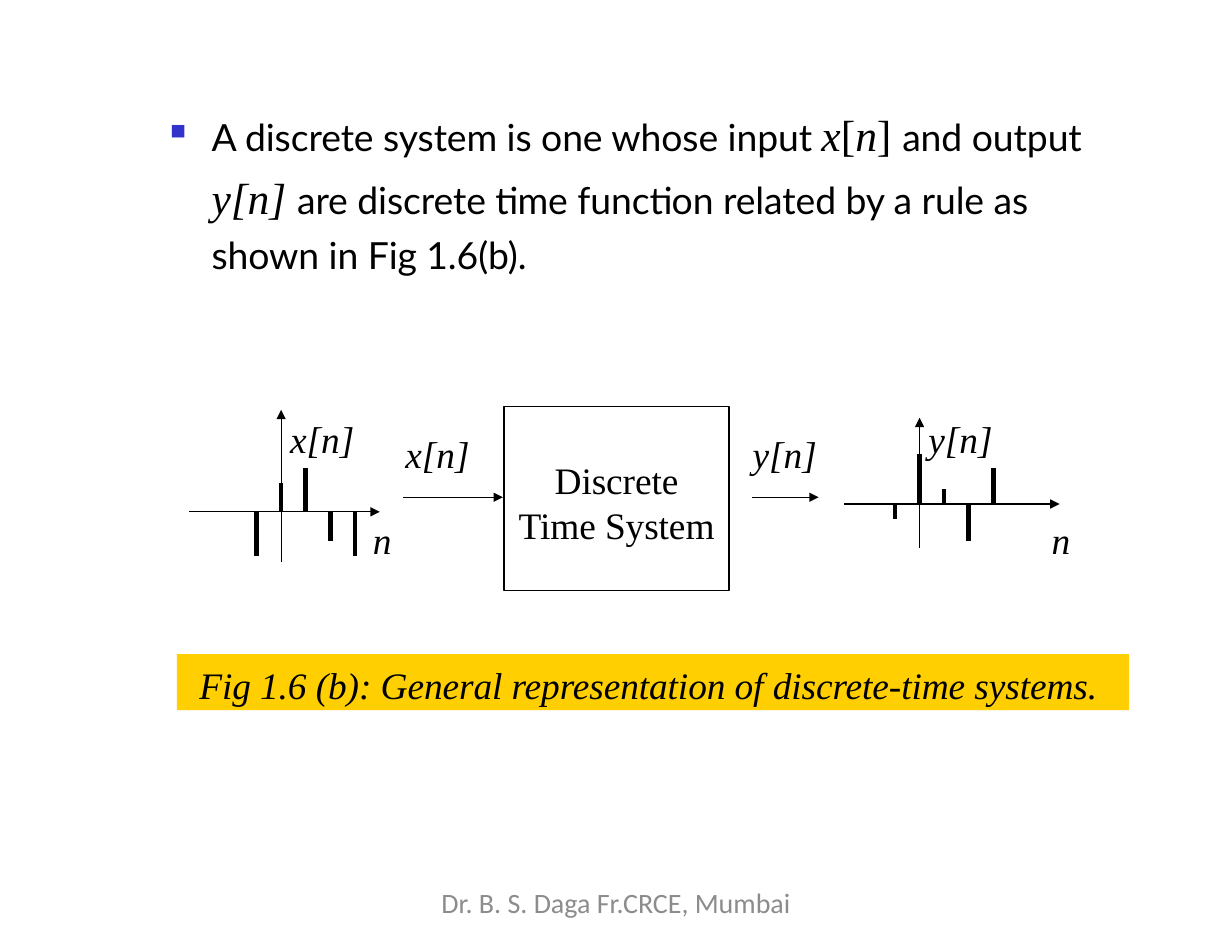
from lxml.etree import SubElement
from pptx import Presentation
from pptx.dml.color import RGBColor
from pptx.enum.shapes import MSO_CONNECTOR as CONNECTOR, MSO_SHAPE as SHAPE
from pptx.enum.text import MSO_ANCHOR as ANCHOR, PP_ALIGN as ALIGN
from pptx.oxml.ns import qn
from pptx.util import Inches, Pt

BLACK = RGBColor(0, 0, 0)
GOLD = RGBColor(0xFF, 0xCF, 0x01)
GRAY = RGBColor(0x8C, 0x8C, 0x8C)
BULLET_BLUE = "3333CC"

BODY = {"name": "Lato", "size": Pt(24), "italic": False}
UPRIGHT = {"name": "Times New Roman", "size": Pt(28), "italic": False}
SYMBOL = {**UPRIGHT, "italic": True}
SYSTEM = {**UPRIGHT, "size": Pt(24)}
LABEL = {**SYMBOL, "size": Pt(24)}
FOOTER = {"name": "Calibri", "size": Pt(18)}

DEFINITION = [
    ("A discrete system is one whose input ", BODY),
    ("x", SYMBOL), ("[", UPRIGHT), ("n", SYMBOL), ("] ", UPRIGHT),
    ("and output ", BODY), ("y[n] ", SYMBOL),
    ("are discrete time function related by a rule as shown in Fig 1.6(b).", BODY),
]
SYSTEM_LINES = ["Discrete", "Time System"]
CAPTION = "Fig 1.6 (b): General representation of discrete-time systems."
CREDIT = "Dr. B. S. Daga Fr.CRCE, Mumbai"

SAMPLE_GAP = 0.22
SIGNALS = [
    {"origin": (2.51, 4.57), "across": (1.69, 3.39), "upright": (5.02, 3.66),
     "samples": {-1: -0.39, 0: 0.26, 1: 0.39, 2: -0.26, 3: -0.39}},
    {"origin": (8.21, 4.5), "across": (7.54, 9.46), "upright": (4.89, 3.73),
     "samples": {-1: -0.13, 0: 0.45, 1: 0.13, 2: -0.33, 3: 0.32}},
]
FLOW_Y = 4.44
FLOWS = [(3.6, 4.49), (6.71, 7.31)]
LABELS = [
    ("x[n]", 2.58, 3.7), ("x[n]", 3.61, 3.83), ("n", 3.32, 4.6),
    ("y[n]", 8.28, 3.7), ("y[n]", 6.71, 3.83), ("n", 9.38, 4.6),
]

prs = Presentation()
prs.slide_width, prs.slide_height = Inches(11), Inches(8.5)
slide = prs.slides.add_slide(prs.slide_layouts[6])


def set_frame(shape, inset_left=0, inset_top=0, wrap=True, anchor=ANCHOR.TOP):
    frame = shape.text_frame
    settings = {"margin_left": Inches(inset_left), "margin_top": Inches(inset_top),
                "margin_right": 0, "margin_bottom": 0,
                "word_wrap": wrap, "vertical_anchor": anchor}
    for key, value in settings.items():
        setattr(frame, key, value)
    return frame.paragraphs[0]


def add_run(paragraph, text, style, color=BLACK, spacing=0):
    run = paragraph.add_run()
    run.text = text
    for key, value in style.items():
        setattr(run.font, key, value)
    run.font.color.rgb = color
    if spacing:
        run._r.get_or_add_rPr().set("spc", str(spacing))


def add_text_box(left, top, width, height, **frame):
    box = slide.shapes.add_textbox(*map(Inches, (left, top, width, height)))
    return set_frame(box, **frame)


def add_rectangle(left, top, width, height):
    rectangle = slide.shapes.add_shape(
        SHAPE.RECTANGLE, *map(Inches, (left, top, width, height)))
    rectangle.shadow.inherit = False
    return rectangle


def add_line(x1, y1, x2, y2, width=0.75, arrow=False):
    line = slide.shapes.add_connector(
        CONNECTOR.STRAIGHT, *map(Inches, (x1, y1, x2, y2)))
    line.line.color.rgb = BLACK
    line.line.width = Pt(width)
    properties = line._element.spPr
    if arrow:
        SubElement(properties.find(qn("a:ln")), qn("a:tailEnd"), type="triangle")
    SubElement(properties, qn("a:effectLst"))


definition = add_text_box(1.5, 0.85, 8.3, 1.64, inset_top=0.02)
definition.line_spacing = 1.2
bullet = definition._p.get_or_add_pPr()
bullet.set("marL", str(Inches(0.39)))
bullet.set("indent", str(Inches(-0.37)))
bullet_color = SubElement(bullet, qn("a:buClr"))
SubElement(bullet_color, qn("a:srgbClr"), val=BULLET_BLUE)
SubElement(bullet, qn("a:buSzPct"), val="58000")
SubElement(bullet, qn("a:buChar"), char="■")
for text, style in DEFINITION:
    add_run(definition, text, style, spacing=-5)

system_box = add_rectangle(4.5, 3.63, 2.01, 1.64)
system_box.fill.background()
system_box.line.color.rgb = BLACK
system_box.line.width = Pt(0.75)
system = set_frame(system_box, inset_top=0.06, anchor=ANCHOR.MIDDLE)
system.alignment = ALIGN.CENTER
for index, text in enumerate(SYSTEM_LINES):
    if index:
        system.add_line_break()
    add_run(system, text, SYSTEM, spacing=-5)

for start, end in FLOWS:
    add_line(start, FLOW_Y, end, FLOW_Y, arrow=True)

for signal in SIGNALS:
    origin_x, origin_y = signal["origin"]
    left, right = signal["across"]
    bottom, top = signal["upright"]
    add_line(left, origin_y, right, origin_y, arrow=True)
    add_line(origin_x, bottom, origin_x, top, arrow=True)
    for n, value in signal["samples"].items():
        x = origin_x + n * SAMPLE_GAP
        add_line(x, origin_y, x, origin_y - value, width=3)

for text, left, top in LABELS:
    width = 0.19 if text == "n" else 0.6
    label = add_text_box(left, top, width, 0.43,
                         inset_left=0.01, inset_top=0.02, wrap=False)
    add_run(label, text, LABEL)

caption_bar = add_rectangle(1.58, 5.84, 8.5, 0.5)
caption_bar.fill.solid()
caption_bar.fill.fore_color.rgb = GOLD
caption_bar.line.fill.background()
caption = set_frame(caption_bar, inset_left=0.2, inset_top=0.07)
caption.alignment = ALIGN.LEFT
add_run(caption, CAPTION, LABEL, spacing=-5)

footer = add_text_box(3.74, 7.91, 3.52, 0.42)
footer.alignment = ALIGN.CENTER
add_run(footer, CREDIT, FOOTER, GRAY)

prs.save("out.pptx")
